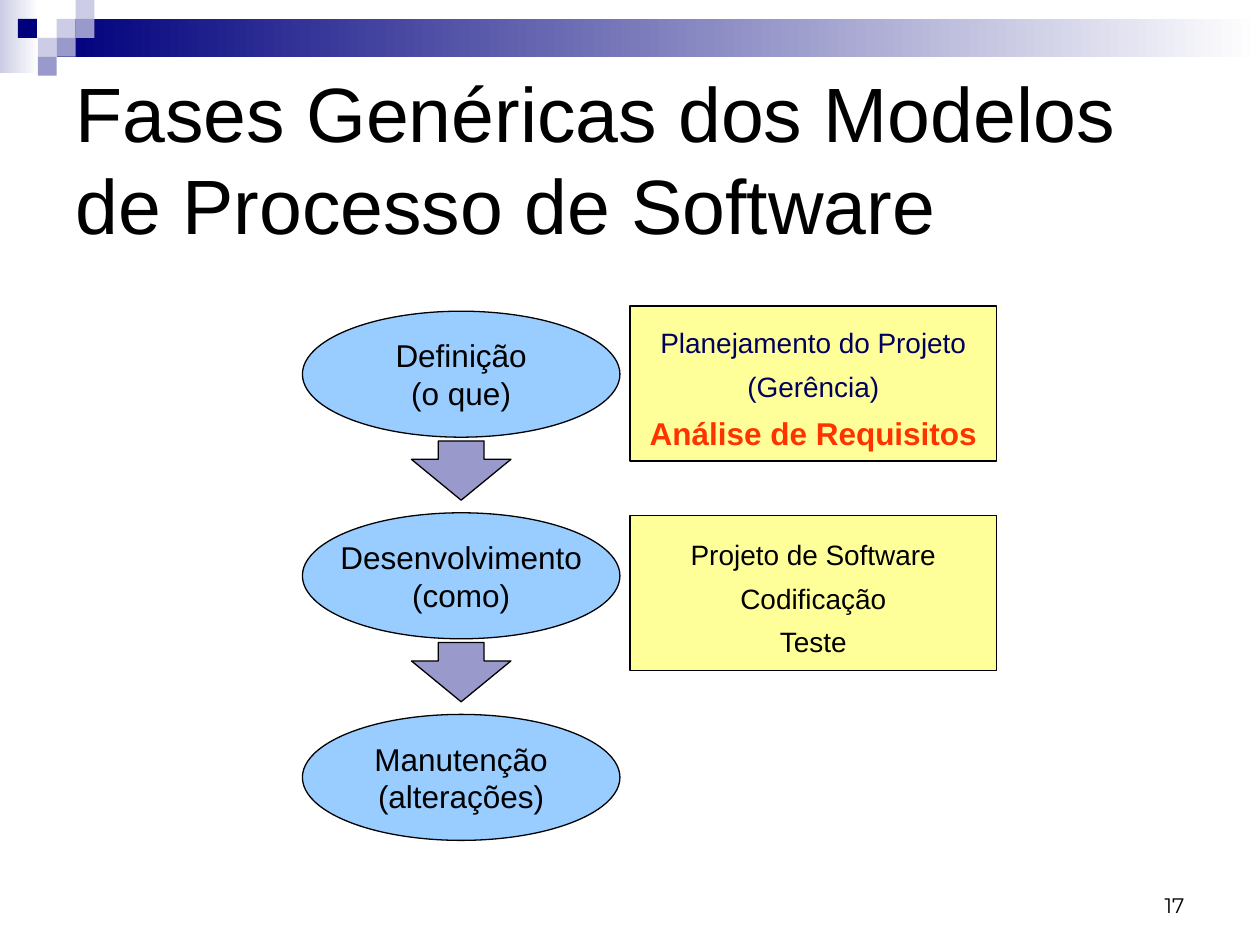
from pptx import Presentation, util as u
from pptx.dml.color import RGBColor
from pptx.enum import shapes, text

TITLE = "Fases Genéricas dos Modelos de Processo de Software"
PAGE = "17"
BLACK, NAVY, LILAC, PALE, WHITE = "000000", "00007D", "9999CC", "CCCCE6", "FFFFFF"

PHASES = [("Definição", "(o que)"),
          ("Desenvolvimento", "(como)"),
          ("Manutenção", "(alterações)")]
# Each activity: text, size, colour, bold
ACTIVITIES = [
    [("Planejamento do Projeto", 16, "00005E", False),
     ("(Gerência)", 16, "00005E", False),
     ("Análise de Requisitos", 18, "FF3300", True)],
    [(name, 16, BLACK, False) for name in ("Projeto de Software", "Codificação", "Teste")],
]

# Header bars: left, top, width, height, first colour, last colour
BARS = [(0, 0, 0.31, 0.58, PALE, WHITE), (0.45, 0.15, 9.55, 0.3, NAVY, WHITE)]
# Header mosaic: column, row, colour on a grid of small squares
TILE = 0.15
TILES = [(3, 1, PALE), (4, 0, PALE), (4, 1, LILAC), (2, 2, PALE),
         (0.95, 1, NAVY), (3, 2, LILAC), (2, 3, LILAC)]

PHASE_X, PHASE_Y, PHASE_W, PHASE_H, PITCH = 2.4, 2.47, 2.52, 1, 1.6
ARROW_W, ARROW_H, ARROW_GAP = 0.79, 0.47, 0.03
BOX_X, BOX_Y, BOX_W, BOX_H, BOX_PITCH = 5, 2.43, 2.91, 1.23, 1.66

KIND = shapes.MSO_SHAPE
ALIGN, ANCHOR = text.PP_ALIGN, text.MSO_ANCHOR

prs = Presentation()
prs.slide_width, prs.slide_height = u.Inches(10), u.Inches(7.5)
s = prs.slides.add_slide(prs.slide_layouts[6])


def rgb(value):
    """Turn a hex string into a colour."""
    return RGBColor.from_string(value)


def add_shape(kind, at, fill, last=None, line=None):
    """Add a flat shape with a solid fill, or a gradient if last is given."""
    sp = s.shapes.add_shape(kind, *map(u.Inches, at))
    sp.shadow.inherit = False
    if last:
        sp.fill.gradient()
        sp.fill.gradient_angle = 0
        for stop, colour in zip(sp.fill.gradient_stops, (fill, last)):
            stop.color.rgb = rgb(colour)
    else:
        sp.fill.solid()
        sp.fill.fore_color.rgb = rgb(fill)
    if line:
        sp.line.color.rgb = rgb(line)
        sp.line.width = u.Pt(0.75)
    else:
        sp.line.fill.background()
    return sp


def write(sp, lines, align=ALIGN.CENTER, anchor=ANCHOR.MIDDLE, font="Arial",
          spacing=None, wrap=False):
    """Write (text, size, colour, bold) lines as paragraphs of a shape."""
    tf = sp.text_frame
    tf.word_wrap = wrap
    tf.vertical_anchor = anchor
    tf.text = "\n".join(line[0] for line in lines)
    for p, (_, size, colour, bold) in zip(tf.paragraphs, lines):
        p.alignment = align
        if spacing:
            p.line_spacing = spacing
        f = p.runs[0].font
        f.name, f.size, f.bold = font, u.Pt(size), bold
        f.color.rgb = rgb(colour)


def add_text(at, line, **style):
    """Add a wrapping text box holding one line style."""
    write(s.shapes.add_textbox(*map(u.Inches, at)), [line], wrap=True, **style)


for *at, first, last in BARS:
    add_shape(KIND.RECTANGLE, at, first, last)
for col, row, colour in TILES:
    add_shape(KIND.RECTANGLE, (col * TILE, row * TILE, TILE, TILE), colour)

add_text((0.5, 0.5, 9, 1.5), (TITLE, 44, BLACK, False), align=ALIGN.LEFT)
add_text((7.17, 6.83, 2.33, 0.5), (PAGE, 12, BLACK, False), align=ALIGN.RIGHT,
         anchor=ANCHOR.BOTTOM, font="Montserrat")

for i, phase in enumerate(PHASES):
    y = PHASE_Y + i * PITCH
    oval = add_shape(KIND.OVAL, (PHASE_X, y, PHASE_W, PHASE_H), "99CCFF", line=BLACK)
    write(oval, [(name, 18, BLACK, False) for name in phase])
    if i < len(PHASES) - 1:
        x = PHASE_X + (PHASE_W - ARROW_W) / 2
        arrow = add_shape(KIND.DOWN_ARROW, (x, y + PHASE_H + ARROW_GAP, ARROW_W, ARROW_H),
                          LILAC, line=BLACK)
        arrow.adjustments[0], arrow.adjustments[1] = 0.46, 0.69

for i, activities in enumerate(ACTIVITIES):
    box = add_shape(KIND.RECTANGLE, (BOX_X, BOX_Y + i * BOX_PITCH, BOX_W, BOX_H),
                    "FFFF99", line=BLACK)
    write(box, activities, spacing=1.3)

prs.save("out.pptx")
